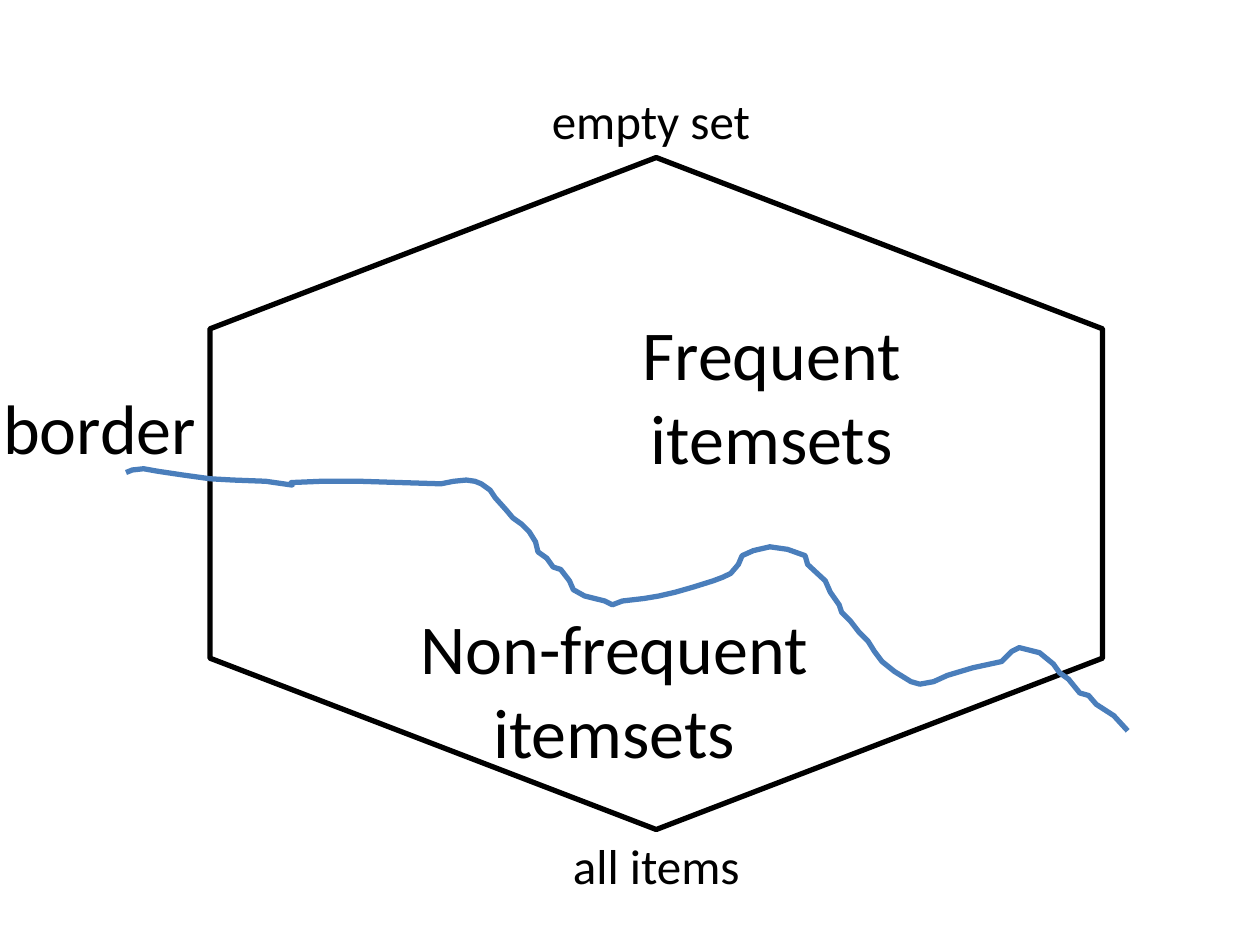
import pptx
import pptx.dml.color
import pptx.enum.shapes
import pptx.enum.text
import pptx.util

THEME = {
    "font": "Calibri",
    "text": pptx.dml.color.RGBColor(0, 0, 0),
    "border": pptx.dml.color.RGBColor(0x4A, 0x7E, 0xBB),
    "label size": 28,
    "region size": 40,
    "line width": 3,
}

presentation = pptx.Presentation()
presentation.slide_width = pptx.util.Inches(10)
presentation.slide_height = pptx.util.Inches(7.5)
slide = presentation.slides.add_slide(presentation.slide_layouts[6])

# Grid of 120 columns by 90 rows, square cells
CELL = presentation.slide_width / 120


def add_text(text, *, column, row, columns, rows, size):
    box = slide.shapes.add_textbox(
        *(round(CELL * cells) for cells in (column, row, columns, rows)))
    frame = box.text_frame
    frame.word_wrap = True
    frame.auto_size = pptx.enum.text.MSO_AUTO_SIZE.SHAPE_TO_FIT_TEXT
    paragraph = frame.paragraphs[0]
    paragraph.alignment = pptx.enum.text.PP_ALIGN.CENTER
    run = paragraph.add_run()
    run.text = text
    run.font.name = THEME["font"]
    run.font.size = pptx.util.Pt(size)
    run.font.color.rgb = THEME["text"]


def style_outline(shape, color):
    shape.shadow.inherit = False
    shape.fill.background()
    shape.line.color.rgb = color
    shape.line.width = pptx.util.Pt(THEME["line width"])


# Itemset lattice: a hexagon standing on its point
lattice = slide.shapes.add_shape(
    pptx.enum.shapes.MSO_SHAPE.HEXAGON,
    *(round(CELL * cells) for cells in (30.5, 4.5, 64, 85)))
lattice.rotation = 90
lattice.adjustments[0] = 0.255
lattice.adjustments[1] = 1.155
style_outline(lattice, THEME["text"])

# Lattice ends
add_text("all items", column=51, row=79, columns=23, rows=6.9, size=THEME["label size"])
add_text("empty set", column=50, row=8, columns=24, rows=6.9, size=THEME["label size"])

# Border between the regions, in hundredths of an inch
border_points = [
    (100, 375), (105, 373), (114, 372), (125, 374), (145, 377), (167, 380),
    (185, 381), (211, 382), (232, 385), (231, 383), (255, 382), (286, 382),
    (318, 383), (350, 384), (360, 382), (370, 381), (377, 382), (382, 384),
    (389, 389), (393, 395), (402, 405), (407, 411), (414, 416), (420, 422),
    (425, 430), (427, 438), (434, 443), (439, 450), (445, 452), (452, 461),
    (455, 468), (464, 473), (480, 477), (486, 480), (494, 477), (511, 475),
    (523, 473), (536, 470), (550, 466), (566, 461), (574, 458), (580, 455),
    (586, 448), (589, 441), (598, 437), (611, 434), (625, 436), (639, 441),
    (641, 448), (655, 461), (659, 470), (666, 480), (668, 486), (675, 493),
    (682, 502), (689, 509), (694, 517), (700, 525), (710, 533), (723, 541),
    (730, 543), (741, 541), (752, 536), (772, 530), (795, 525), (803, 517),
    (809, 514), (825, 518), (836, 527), (841, 534), (848, 539), (857, 550),
    (864, 552), (870, 559), (884, 568), (895, 580),
]
builder = slide.shapes.build_freeform(*border_points[0], scale=pptx.util.Inches(0.01))
builder.add_line_segments(border_points[1:], close=False)
style_outline(builder.convert_to_shape(), THEME["border"])

# Region names
for text, column, row, rows in [
    ("Frequent itemsets", 50, 29, 17.3),
    ("Non-frequent itemsets", 35, 57, 17.3),
    ("border", -14, 36, 9.3),
]:
    add_text(text, column=column, row=row, columns=47, rows=rows, size=THEME["region size"])

presentation.save("out.pptx")
